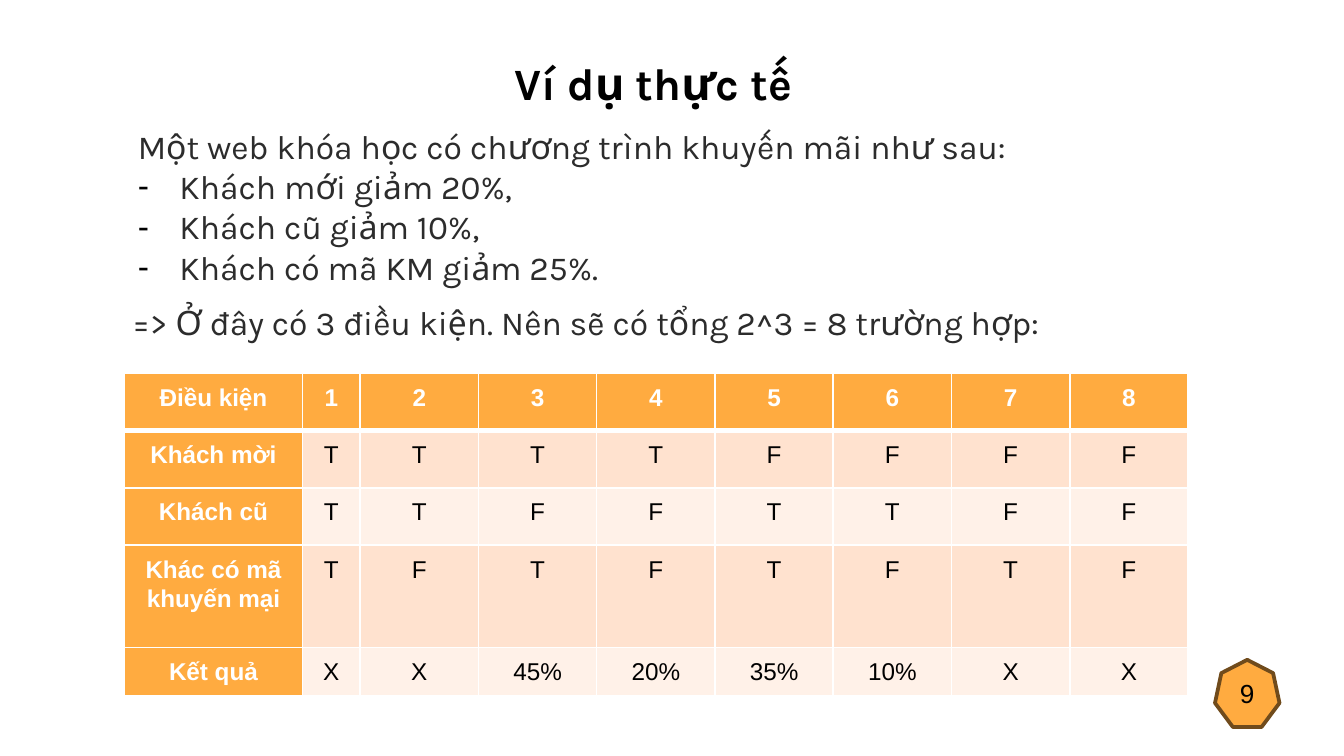
from dataclasses import dataclass
from typing import Any

import lxml.etree
import pptx
import pptx.dml.color
import pptx.enum.shapes
import pptx.enum.text
import pptx.oxml.ns
import pptx.util

EMU_PER_PX = 4572
ALIGN = pptx.enum.text.PP_ALIGN
ANCHOR = pptx.enum.text.MSO_ANCHOR


@dataclass(frozen=True)
class Theme:
    orange: str = "FFAB40"
    brown: str = "704B1C"
    peach: str = "FFE2CF"
    cream: str = "FFF1E8"
    white: str = "FFFFFF"
    black: str = "000000"
    grey: str = "2C2C2C"
    text_font: str = "Karla"
    table_font: str = "Arial"
    title_size: int = 24
    body_size: int = 18
    badge_size: int = 14
    cell_size: int = 13


@dataclass(frozen=True)
class Box:
    left: int
    top: int
    width: int
    height: int

    def emu(self) -> tuple[int, ...]:
        return tuple(px(n) for n in (self.left, self.top, self.width, self.height))


@dataclass(frozen=True)
class Row:
    label: str
    values: list[str]
    height: int


THEME = Theme()
COLUMNS = [265, 86] + [176] * 7
ROWS = [
    Row("Điều kiện", list("12345678"), 85),
    Row("Khách mời", list("TTTTFFFF"), 85),
    Row("Khách cũ", list("TTFFTTFF"), 85),
    Row("Khác có mã khuyến mại", list("TFTFTFTF"), 153),
    Row("Kết quả", ["X", "X", "45%", "20%", "35%", "10%", "X", "X"], 69),
]
DISCOUNTS = ["Khách mới giảm 20%,", "Khách cũ giảm 10%,", "Khách có mã KM giảm 25%."]


def px(n: int) -> int:
    return pptx.util.Emu(n * EMU_PER_PX)


def rgb(color: str) -> pptx.dml.color.RGBColor:
    return pptx.dml.color.RGBColor.from_string(color)


def write(p: Any, text: str, *, size: int = THEME.body_size, color: str = THEME.grey,
          font: str = THEME.text_font, bold: bool = False,
          align: Any = ALIGN.LEFT, spacing: float = 1.0) -> None:
    p.alignment = align
    p.line_spacing = spacing
    p.space_before = p.space_after = pptx.util.Pt(0)
    r = p.add_run()
    r.text = text
    r.font.size = pptx.util.Pt(size)
    r.font.name = font
    r.font.bold = bold
    r.font.color.rgb = rgb(color)


def sub(parent: Any, tag: str, **attrs: str) -> Any:
    return lxml.etree.SubElement(parent, pptx.oxml.ns.qn(tag), **attrs)


def set_bullet(p: Any, char: str = "") -> None:
    pPr = p._p.get_or_add_pPr()
    indent = px(62) if char else 0
    pPr.set("marL", str(indent))
    pPr.set("indent", str(-indent))
    if char:
        sub(sub(pPr, "a:buClr"), "a:srgbClr", val=THEME.black)
        sub(pPr, "a:buFont", typeface=THEME.table_font)
        sub(pPr, "a:buChar", char=char)
    else:
        sub(pPr, "a:buNone")


def place(sp: Any, box: Box, *, anchor: Any = ANCHOR.TOP,
          insets: tuple[int, int, int, int] = (20, 20, 20, 20)) -> Any:
    sp.left, sp.top, sp.width, sp.height = box.emu()
    tf = sp.text_frame
    tf.word_wrap = True
    tf.auto_size = pptx.enum.text.MSO_AUTO_SIZE.NONE
    tf.vertical_anchor = anchor
    tf.margin_left, tf.margin_top, tf.margin_right, tf.margin_bottom = map(px, insets)
    return tf


def set_borders(cell: Any, **widths: int) -> None:
    tcPr = cell._tc.get_or_add_tcPr()
    fill = tcPr[0]
    for side in "LRTB":
        width = pptx.util.Pt(widths.get(side, 1))
        ln = sub(tcPr, f"a:ln{side}", w=str(width))
        sub(sub(ln, "a:solidFill"), "a:srgbClr", val=THEME.white)
    tcPr.append(fill)


def draw_cell(cell: Any, text: str, row: int, col: int) -> None:
    heading = row == 0 or col == 0
    band = THEME.peach if row % 2 else THEME.cream
    cell.fill.solid()
    cell.fill.fore_color.rgb = rgb(THEME.orange if heading else band)
    cell.margin_left = cell.margin_right = cell.margin_top = cell.margin_bottom = px(14)
    cell.vertical_anchor = ANCHOR.TOP
    write(cell.text_frame.paragraphs[0], text, size=THEME.cell_size, font=THEME.table_font,
          color=THEME.white if heading else THEME.black, bold=heading,
          align=ALIGN.CENTER, spacing=1.07)
    set_borders(cell, T=3 if row == 1 else 1, B=3 if row == 0 else 1)


def draw_table(s: Any, left: int, top: int, rows: list[Row], columns: list[int]) -> None:
    box = Box(left, top, sum(columns), sum(row.height for row in rows))
    table = s.shapes.add_table(len(rows), len(columns), *box.emu()).table
    for column, width in zip(table.columns, columns):
        column.width = px(width)
    for i, row in enumerate(rows):
        table.rows[i].height = px(row.height)
        for j, text in enumerate([row.label, *row.values]):
            draw_cell(table.cell(i, j), text, i, j)


def draw_badge(s: Any, box: Box, text: str) -> None:
    sp = s.shapes.add_shape(pptx.enum.shapes.MSO_SHAPE.HEPTAGON, *box.emu())
    sp.shadow.inherit = False
    sp.fill.solid()
    sp.fill.fore_color.rgb = rgb(THEME.orange)
    sp.line.color.rgb = rgb(THEME.brown)
    sp.line.width = pptx.util.Pt(2)
    tf = place(sp, box, anchor=ANCHOR.MIDDLE, insets=(0, 0, 0, 0))
    write(tf.paragraphs[0], text, size=THEME.badge_size, font=THEME.table_font,
          color=THEME.black, align=ALIGN.CENTER)


def main() -> None:
    prs = pptx.Presentation()
    prs.slide_width, prs.slide_height = px(2000), px(1125)
    s = prs.slides.add_slide(prs.slide_layouts[1])

    tf = place(s.shapes.title, Box(711, 70, 522, 106), anchor=ANCHOR.MIDDLE)
    write(tf.paragraphs[0], "Ví dụ thực tế", size=THEME.title_size, color=THEME.black,
          bold=True, align=ALIGN.CENTER)

    tf = place(s.placeholders[1], Box(185, 167, 1392, 226))
    write(tf.paragraphs[0], "Một web khóa học có chương trình khuyến mãi như sau:")
    set_bullet(tf.paragraphs[0])
    for discount in DISCOUNTS:
        p = tf.add_paragraph()
        write(p, discount)
        set_bullet(p, "-")

    draw_table(s, 185, 556, ROWS, COLUMNS)

    box = Box(164, 370, 1482, 120)
    tf = place(s.shapes.add_textbox(*box.emu()), box, insets=(33, 80, 20, 0))
    write(tf.paragraphs[0], "=> Ở đây có 3 điều kiện. Nên sẽ có tổng 2^3 = 8 trường hợp:")

    draw_badge(s, Box(1808, 982, 96, 100), "9")
    prs.save("out.pptx")


if __name__ == "__main__":
    main()
